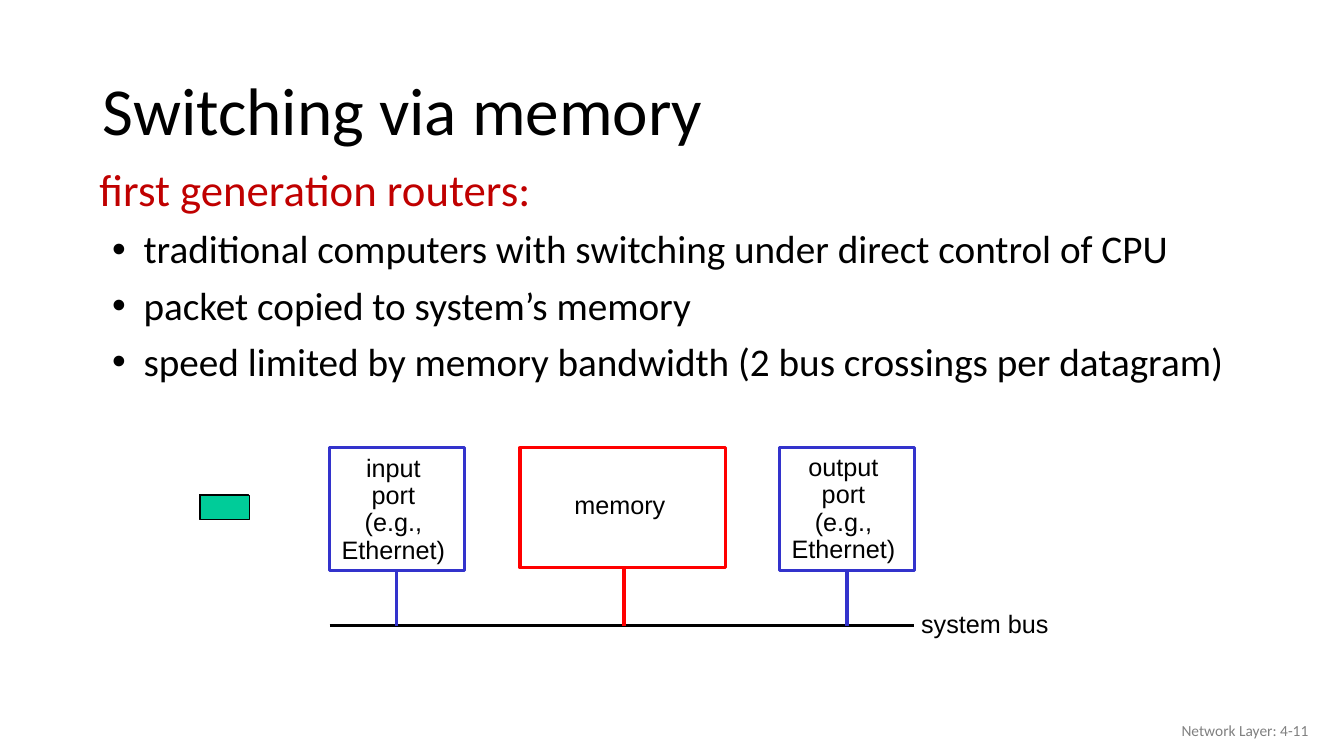
from lxml import etree
from pptx import Presentation
from pptx.dml.color import RGBColor
from pptx.enum.shapes import MSO_CONNECTOR, MSO_SHAPE
from pptx.enum.text import MSO_ANCHOR, MSO_AUTO_SIZE, PP_ALIGN
from pptx.oxml.ns import qn
from pptx.util import Pt

RECTANGLE = MSO_SHAPE.RECTANGLE
STRAIGHT = MSO_CONNECTOR.STRAIGHT
TOP, MIDDLE = MSO_ANCHOR.TOP, MSO_ANCHOR.MIDDLE
LEFT, CENTER, RIGHT = PP_ALIGN.LEFT, PP_ALIGN.CENTER, PP_ALIGN.RIGHT
NO_AUTOSIZE = MSO_AUTO_SIZE.NONE
TITLE_ONLY = 5

COLORS = {
    "black": "000000",
    "white": "FFFFFF",
    "heading": "C00000",
    "port": "3333CC",
    "memory": "FF0000",
    "packet": "00CC99",
    "footer": "808080",
}


def color(name):
    return RGBColor.from_string(COLORS[name])


class SlideBuilder:
    """Holds the text style and the slide being drawn; lengths are in points."""

    def __init__(self, slide, heading_font, label_font):
        self.slide = slide
        self.heading_font = heading_font
        self.label_font = label_font

    def add_text(self, paragraph, text, font, size, color_name, align=LEFT, line_spacing=0.9):
        paragraph.alignment = align
        paragraph.line_spacing = line_spacing
        run = paragraph.add_run()
        run.text = text
        run.font.name = font
        run.font.size = Pt(size)
        run.font.color.rgb = color(color_name)

    def title(self, text, left, top, width, height):
        shape = self.slide.shapes.title
        shape.left, shape.top, shape.width, shape.height = map(Pt, (left, top, width, height))
        frame = shape.text_frame
        frame.auto_size = NO_AUTOSIZE
        frame.vertical_anchor = MIDDLE
        self.add_text(frame.paragraphs[0], text, self.heading_font, 48, "black")

    def text_frame(self, left, top, width, height, wrap=True, anchor=TOP):
        shape = self.slide.shapes.add_textbox(*map(Pt, (left, top, width, height)))
        frame = shape.text_frame
        frame.word_wrap = wrap
        frame.vertical_anchor = anchor
        return frame

    def body(self, heading, bullets, left, top, width, height):
        frame = self.text_frame(left, top, width, height)
        self.add_text(frame.paragraphs[0], heading, self.heading_font, 32, "heading")
        for bullet in bullets:
            paragraph = frame.add_paragraph()
            self.add_bullet(paragraph, 31.5, -22.5)
            paragraph.space_before = Pt(10)
            self.add_text(paragraph, bullet, self.heading_font, 28, "black")

    def add_bullet(self, paragraph, margin, indent):
        properties = paragraph._p.get_or_add_pPr()
        properties.set("marL", str(Pt(margin)))
        properties.set("indent", str(Pt(indent)))
        etree.SubElement(properties, qn("a:buFont")).set("typeface", "Arial")
        etree.SubElement(properties, qn("a:buChar")).set("char", "•")

    def label(self, lines, left, top, width, height, align=CENTER, line_spacing=0.9):
        frame = self.text_frame(left, top, width, height, wrap=False)
        for index, line in enumerate(lines):
            paragraph = frame.add_paragraph() if index else frame.paragraphs[0]
            self.add_text(paragraph, line, self.label_font, 18, "black", align, line_spacing)

    def footer(self, text, left, top, width, height):
        frame = self.text_frame(left, top, width, height, anchor=MIDDLE)
        self.add_text(frame.paragraphs[0], text, self.heading_font, 11, "footer", RIGHT, 1.0)

    def box(self, left, top, width, height, fill, line, line_width=2.25):
        shape = self.slide.shapes.add_shape(RECTANGLE, *map(Pt, (left, top, width, height)))
        shape.shadow.inherit = False
        shape.fill.solid()
        shape.fill.fore_color.rgb = color(fill)
        shape.line.color.rgb = color(line)
        shape.line.width = Pt(line_width)

    def line(self, start_x, start_y, end_x, end_y, line):
        connector = self.slide.shapes.add_connector(
            STRAIGHT, *map(Pt, (start_x, start_y, end_x, end_y)))
        connector.line.color.rgb = color(line)
        connector.line.width = Pt(2.25)
        etree.SubElement(connector._element.spPr, qn("a:effectLst"))


def main():
    presentation = Presentation()
    presentation.slide_width, presentation.slide_height = Pt(960), Pt(540)
    slide = presentation.slides.add_slide(presentation.slide_layouts[TITLE_ONLY])
    builder = SlideBuilder(slide, "Calibri", "Arial")

    builder.body(
        "first generation routers:",
        [
            "traditional computers with switching under direct control of CPU",
            "packet copied to system’s memory",
            "speed limited by memory bandwidth (2 bus crossings per datagram)",
        ],
        64, 116, 888.5, 218)
    builder.title("Switching via memory", 66.25, 29, 828, 104.4)

    box_top, bus_y = 319.7, 447.1
    port_width, port_height = 96, 88
    memory_height = 86
    bus_left, bus_right = 235.5, 653
    ports = [("input", bus_left, 322), ("output", bus_right - port_width, 321.3)]

    for name, left, label_top in ports:
        builder.box(left, box_top, port_width, port_height, "white", "port")
        builder.label([name, "port", "(e.g.,", "Ethernet)"], left + 1.2, label_top, 88.6, 85)
    builder.box(371.5, box_top, 147, memory_height, "white", "memory")
    builder.label(["memory"], 403.2, 348.5, 79.2, 26.6)

    builder.line(bus_left, bus_y, bus_right, bus_y, "black")
    for _, left, _ in ports:
        center = left + port_width / 2
        builder.line(center, box_top + port_height, center, bus_y, "port")
    builder.line(445.7, box_top + memory_height, 445.7, bus_y, "memory")
    builder.label(["system bus"], 650.9, 431.3, 105.8, 28.8, LEFT, 1.0)

    for left, top, width, height in [(142.6, 353.5, 34.6, 17.3), (143.3, 354.2, 35.3, 16.6)]:
        builder.box(left, top, width, height, "packet", "black", 0.75)

    builder.footer("Network Layer: 4-11", 725.8, 507.6, 216, 28.8)
    presentation.save("out.pptx")


if __name__ == "__main__":
    main()
